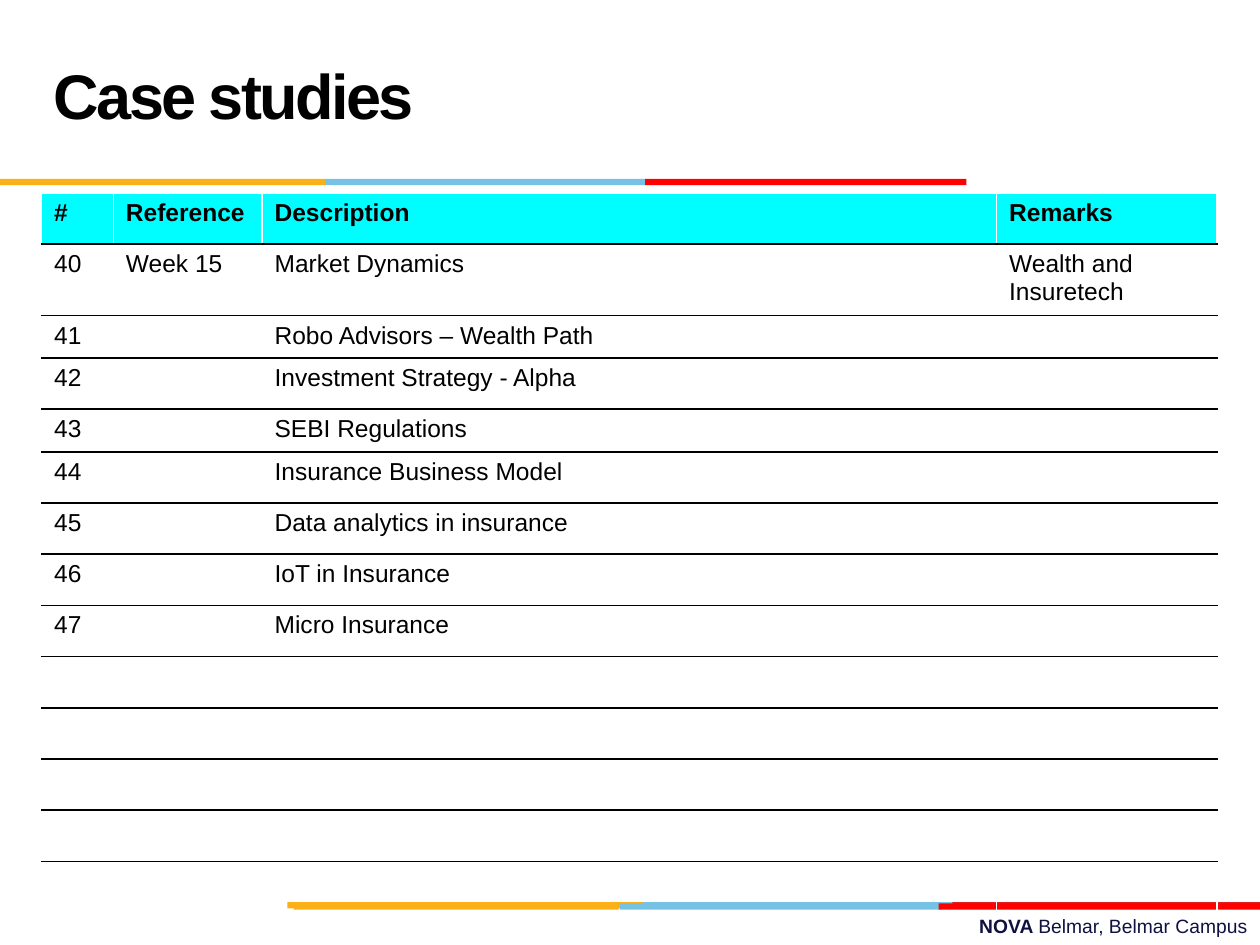
import pptx
import pptx.util
import pptx.dml.color
import pptx.enum.shapes
import pptx.enum.text
import pptx.oxml.ns
from lxml import etree

Inches, Pt = pptx.util.Inches, pptx.util.Pt
RGB = pptx.dml.color.RGBColor.from_string
qn = pptx.oxml.ns.qn
ALIGN, ANCHOR = pptx.enum.text.PP_ALIGN, pptx.enum.text.MSO_ANCHOR
RECT = pptx.enum.shapes.MSO_SHAPE.RECTANGLE

COLORS = {
    "black": "000000", "white": "FFFFFF", "navy": "101141", "cyan": "00FDFF",
    "sky": "76C2E5", "gold": "FCB017", "red": "FF0000", "crimson": "E31C24",
}
HEADS = ["#", "Reference", "Description", "Remarks"]
CASES = [
    "Market Dynamics", "Robo Advisors – Wealth Path", "Investment Strategy - Alpha",
    "SEBI Regulations", "Insurance Business Model", "Data analytics in insurance",
    "IoT in Insurance", "Micro Insurance",
]
FIRST = 40
COLS = [0.57, 1.18, 5.83, 1.75]
COUNT = 14
FIXED = {1: 0.57, 2: 0.33, 4: 0.34}  # rows that differ from the even height


def add_run(para, text, size, color="black", bold=False):
    run = para.add_run()
    run.text = text
    for name, value in {"name": "Arial", "size": Pt(size), "bold": bold}.items():
        setattr(run.font, name, value)
    run.font.color.rgb = RGB(COLORS[color])
    return run


def add_text(slide, box, anchor):
    frame = slide.shapes.add_textbox(*map(Inches, box)).text_frame
    frame.word_wrap = True
    frame.vertical_anchor = anchor
    return frame.paragraphs[0]


def add_strip(slide, left, top, parts):
    """Draw coloured bars, each given as offset, width and colour."""
    for shift, width, color in parts:
        bar = slide.shapes.add_shape(
            RECT, Inches(left + shift), Inches(top), Inches(width), Inches(0.05))
        bar.shadow.inherit = False
        bar.fill.solid()
        bar.fill.fore_color.rgb = RGB(COLORS[color])
        bar.line.fill.background()


def add_title(slide, box):
    para = add_text(slide, box, ANCHOR.MIDDLE)
    para.line_spacing = Pt(36)
    run = add_run(para, "Case studies", 36, bold=True)
    run.font._element.set("spc", "-150")


def add_foot(slide, box):
    para = add_text(slide, box, ANCHOR.TOP)
    para.alignment = ALIGN.RIGHT
    add_run(para, "NOVA ", 11, "navy", True)
    add_run(para, "Belmar, Belmar Campus", 11, "navy")


def set_edges(cell, top, bottom):
    props = cell._tc.get_or_add_tcPr()
    edges = {"L": "white", "R": "white", "T": top, "B": bottom}
    for side, color in edges.items():
        line = etree.SubElement(props, qn("a:ln" + side), w=str(Pt(1)))
        fill = etree.SubElement(line, qn("a:solidFill"))
        etree.SubElement(fill, qn("a:srgbClr"), val=COLORS[color])


def fill_cell(cell, text, head, last):
    set_edges(cell, "white" if head else "black", "white" if last else "black")
    if head:
        cell.fill.solid()
        cell.fill.fore_color.rgb = RGB(COLORS["cyan"])
    else:
        cell.fill.background()
    para = cell.text_frame.paragraphs[0]
    if text:
        add_run(para, text, 14, bold=head)
    else:
        etree.SubElement(para._p, qn("a:endParaRPr"), sz="1400")


def add_cases(slide, box):
    table = slide.shapes.add_table(COUNT, len(COLS), *map(Inches, box)).table
    for flag in ("first_row", "horz_banding"):
        setattr(table, flag, False)
    for col, width in zip(table.columns, COLS):
        col.width = Inches(width)
    even = (box[3] - sum(FIXED.values())) / (COUNT - len(FIXED))
    rows = [HEADS] + [[str(FIRST + i), "", case, ""] for i, case in enumerate(CASES)]
    rows[1][1], rows[1][3] = "Week 15", "Wealth and Insuretech"
    rows += [[""] * len(COLS)] * (COUNT - len(rows))
    for r, texts in enumerate(rows):
        table.rows[r].height = Inches(FIXED.get(r, even))
        for c, text in enumerate(texts):
            fill_cell(table.cell(r, c), text, r == 0, r == COUNT - 1)


def main():
    deck = pptx.Presentation()
    deck.slide_width, deck.slide_height = Inches(10), Inches(7.5)
    slide = deck.slides.add_slide(deck.slide_layouts[6])
    add_foot(slide, (3.58, 7.21, 6.42, 0.29))
    add_strip(slide, 2.28, 7.16, [
        (2.78, 2.55, "sky"), (5.28, 2.44, "crimson"), (0, 2.82, "gold")])
    add_strip(slide, 2.33, 7.17, [
        (2.59, 2.55, "sky"), (0, 2.58, "gold"), (5.12, 2.55, "red")])
    add_strip(slide, 0, 1.42, [
        (2.58, 2.55, "sky"), (0, 2.58, "gold"), (5.12, 2.55, "red")])
    add_title(slide, (0.33, 0.17, 9.5, 1.25))
    add_cases(slide, (0.33, 1.53, 9.33, 5.71))
    deck.save("out.pptx")


if __name__ == "__main__":
    main()
